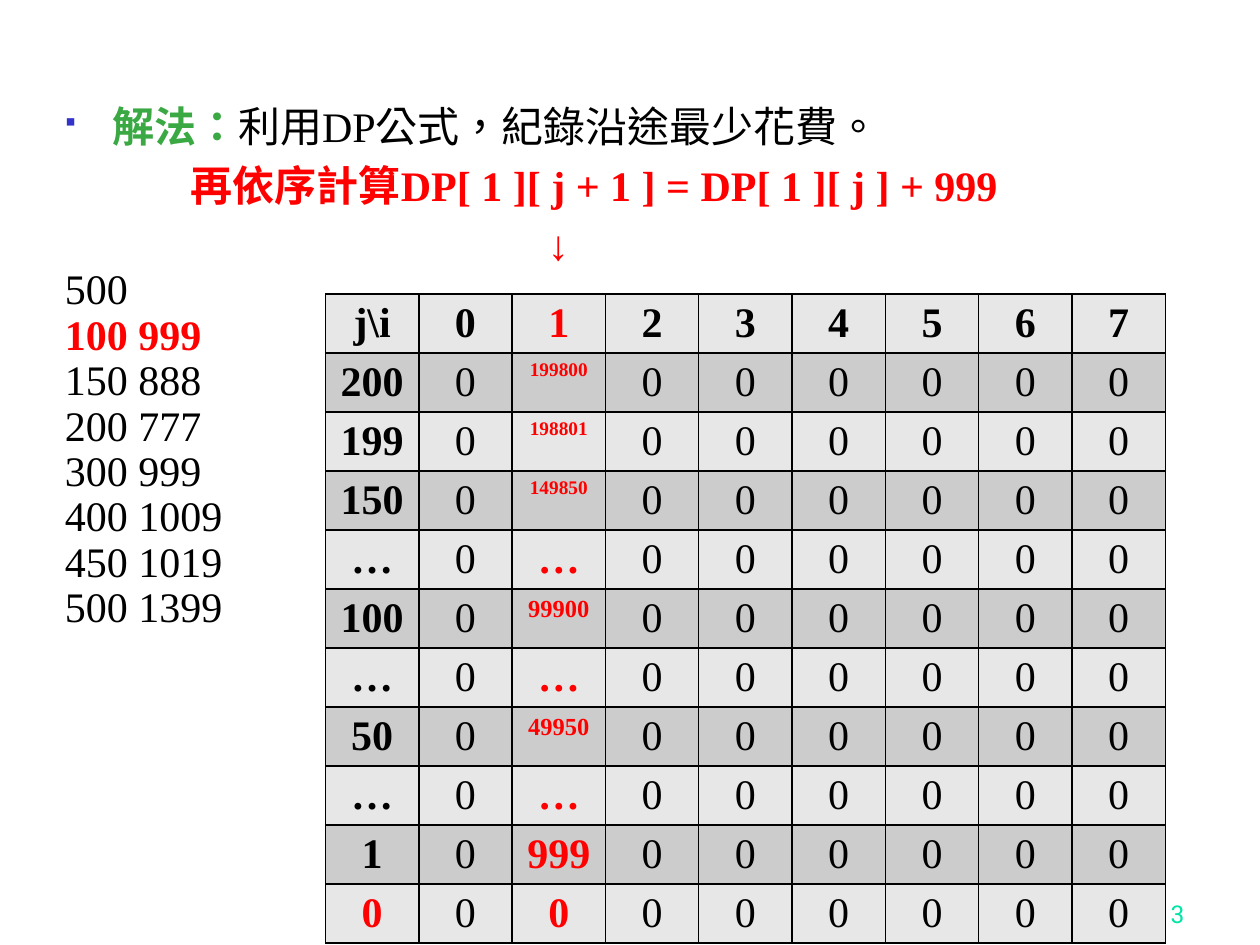
from dataclasses import dataclass

from lxml import etree
from pptx import Presentation
from pptx.dml.color import RGBColor
from pptx.enum.lang import MSO_LANGUAGE_ID
from pptx.enum.text import MSO_ANCHOR, PP_ALIGN
from pptx.oxml.ns import qn
from pptx.util import Inches, Pt

CENTER, RIGHT = PP_ALIGN.CENTER, PP_ALIGN.RIGHT
TOP, BOTTOM = MSO_ANCHOR.TOP, MSO_ANCHOR.BOTTOM
CHINESE = MSO_LANGUAGE_ID.TRADITIONAL_CHINESE

COLORS = {
    "ink": "000000",
    "red": "FF0000",
    "green": "3BA943",
    "bullet": "3333CC",
    "number": "00E4A8",
    "light": "E7E7E7",
    "dark": "CCCCCC",
}
SERIF = "Times New Roman"
UNIT = Inches(1) / 12


@dataclass(frozen=True)
class Area:
    column: float
    row: float
    columns: float
    rows: float

    def lengths(self) -> list[int]:
        return [units(n) for n in (self.column, self.row, self.columns, self.rows)]


@dataclass(frozen=True)
class Span:
    text: str
    color: str = "ink"
    bold: bool = False
    size: float = 24
    font: str = SERIF


@dataclass(frozen=True)
class Line:
    spans: tuple[Span, ...]
    before: float = 0
    spacing: float = 1
    margin: float = 0
    bullet: bool = False


def units(count: float) -> int:
    return round(count * UNIT)


def add_span(para, span: Span) -> None:
    run = para.add_run()
    run.text = span.text
    run.font.name = span.font
    run.font.size = Pt(span.size)
    run.font.bold = span.bold
    run.font.color.rgb = RGBColor.from_string(COLORS[span.color])
    run.font.language_id = CHINESE


def add_bullet(properties, margin: float) -> None:
    properties.set("indent", str(-units(margin)))
    color = etree.SubElement(properties, qn("a:buClr"))
    etree.SubElement(color, qn("a:srgbClr"), val=COLORS["bullet"])
    etree.SubElement(properties, qn("a:buSzPct"), val="60000")
    etree.SubElement(properties, qn("a:buFont"), typeface="Wingdings", charset="2")
    etree.SubElement(properties, qn("a:buChar"), char="§")


def add_text(page, area: Area, lines: list[Line], align=None, anchor=TOP) -> None:
    box = page.shapes.add_textbox(*area.lengths())
    frame = box.text_frame
    frame.word_wrap = True
    frame.vertical_anchor = anchor
    for index, line in enumerate(lines):
        para = frame.add_paragraph() if index else frame.paragraphs[0]
        para.alignment = align
        para.line_spacing = line.spacing
        if index:
            para.space_before = Pt(line.before)
        properties = para._p.get_or_add_pPr()
        properties.set("marL", str(units(line.margin)))
        if line.bullet:
            add_bullet(properties, line.margin)
        for span in line.spans:
            add_span(para, span)


def add_borders(cell) -> None:
    properties = cell._tc.get_or_add_tcPr()
    for position, side in enumerate(("lnL", "lnR", "lnT", "lnB")):
        border = etree.Element(qn(f"a:{side}"), w=str(Pt(1)))
        fill = etree.SubElement(border, qn("a:solidFill"))
        etree.SubElement(fill, qn("a:srgbClr"), val=COLORS["ink"])
        properties.insert(position, border)


def add_grid(page, area: Area, rows: list[list[Span]]) -> None:
    table = page.shapes.add_table(len(rows), len(rows[0]), *area.lengths()).table
    for row_index, row in enumerate(rows):
        for column_index, span in enumerate(row):
            cell = table.cell(row_index, column_index)
            cell.margin_bottom = Pt(1.3)
            cell.fill.solid()
            shade = "dark" if row_index % 2 else "light"
            cell.fill.fore_color.rgb = RGBColor.from_string(COLORS[shade])
            add_borders(cell)
            para = cell.text_frame.paragraphs[0]
            para.alignment = CENTER
            add_span(para, span)


def cost_rows() -> list[list[Span]]:
    header = [Span("j\\i", bold=True)]
    header += [Span(str(i), "red" if i == 1 else "ink", True) for i in range(8)]
    costs = [
        ("200", "199800"), ("199", "198801"), ("150", "149850"), ("…", "…"),
        ("100", "99900"), ("…", "…"), ("50", "49950"), ("…", "…"),
        ("1", "999"), ("0", "0"),
    ]
    sizes = {5: 14, 6: 11}
    zero = Span("0")
    rows = [header]
    for weight, cost in costs:
        label = Span(weight, "red" if weight == "0" else "ink", True)
        filled = Span(cost, "red", True, sizes.get(len(cost), 24))
        rows.append([label, zero, filled] + [zero] * 6)
    return rows


def solution_lines() -> list[Line]:
    items = ["500", "100 999", "150 888", "200 777", "300 999",
             "400 1009", "450 1019", "500 1399"]
    lines = [
        Line((Span("解法：", "green", True), Span("利用DP公式，紀錄沿途最少花費。")),
             margin=4.5, bullet=True),
        Line((Span("再依序計算DP[ 1 ][ j + 1 ] = DP[ 1 ][ j ] + 999", "red", True),),
             before=4.8, margin=12),
        Line((Span("↓", "red"),), before=4.8, margin=46),
    ]
    for item in items:
        current = item == "100 999"
        span = Span(item, "red" if current else "ink", current)
        lines.append(Line((span,), spacing=0.9))
    return lines


def main() -> None:
    deck = Presentation()
    deck.slide_width, deck.slide_height = units(120), units(90)
    page = deck.slides.add_slide(deck.slide_layouts[6])
    number = Span("13", "number", size=14, font="Roboto")
    add_text(page, Area(89, 83, 25, 6), [Line((number,))], RIGHT, BOTTOM)
    add_text(page, Area(5, 9, 106, 74), solution_lines())
    add_grid(page, Area(31, 28, 80, 53.5), cost_rows())
    deck.save("out.pptx")


if __name__ == "__main__":
    main()
